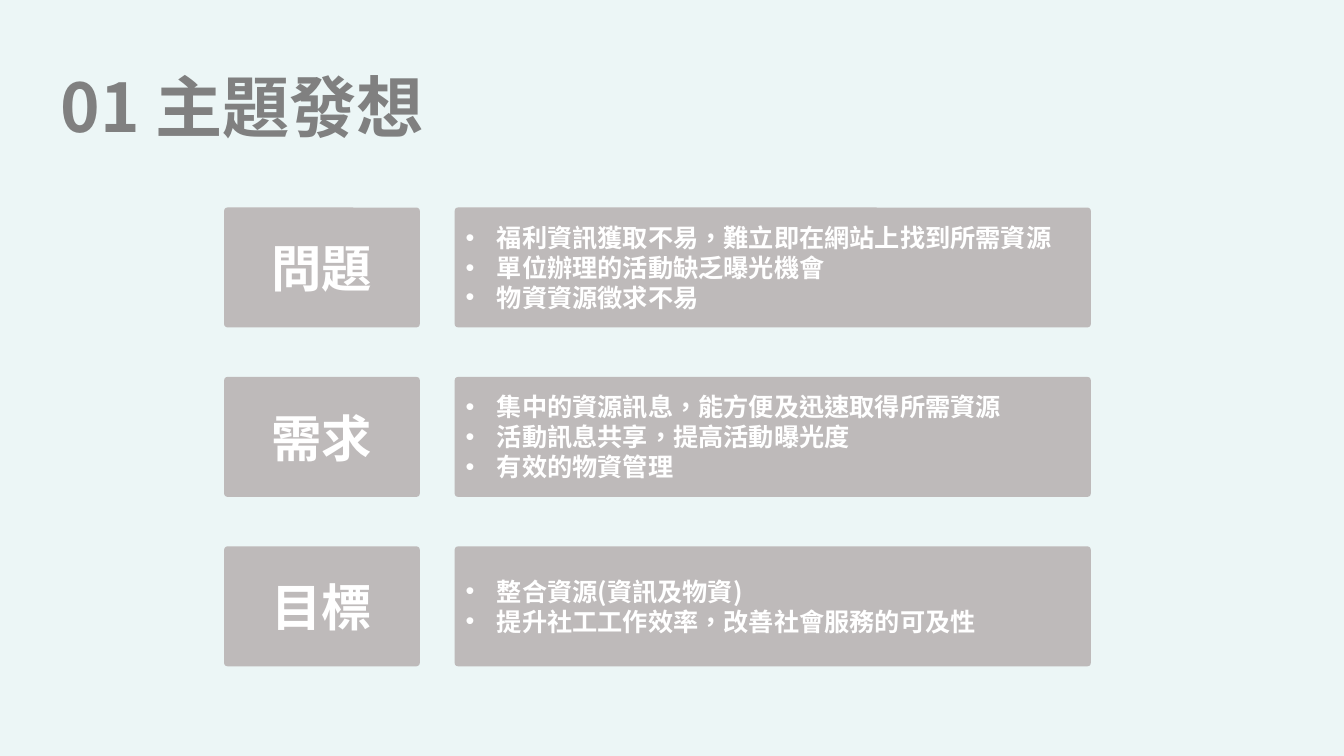
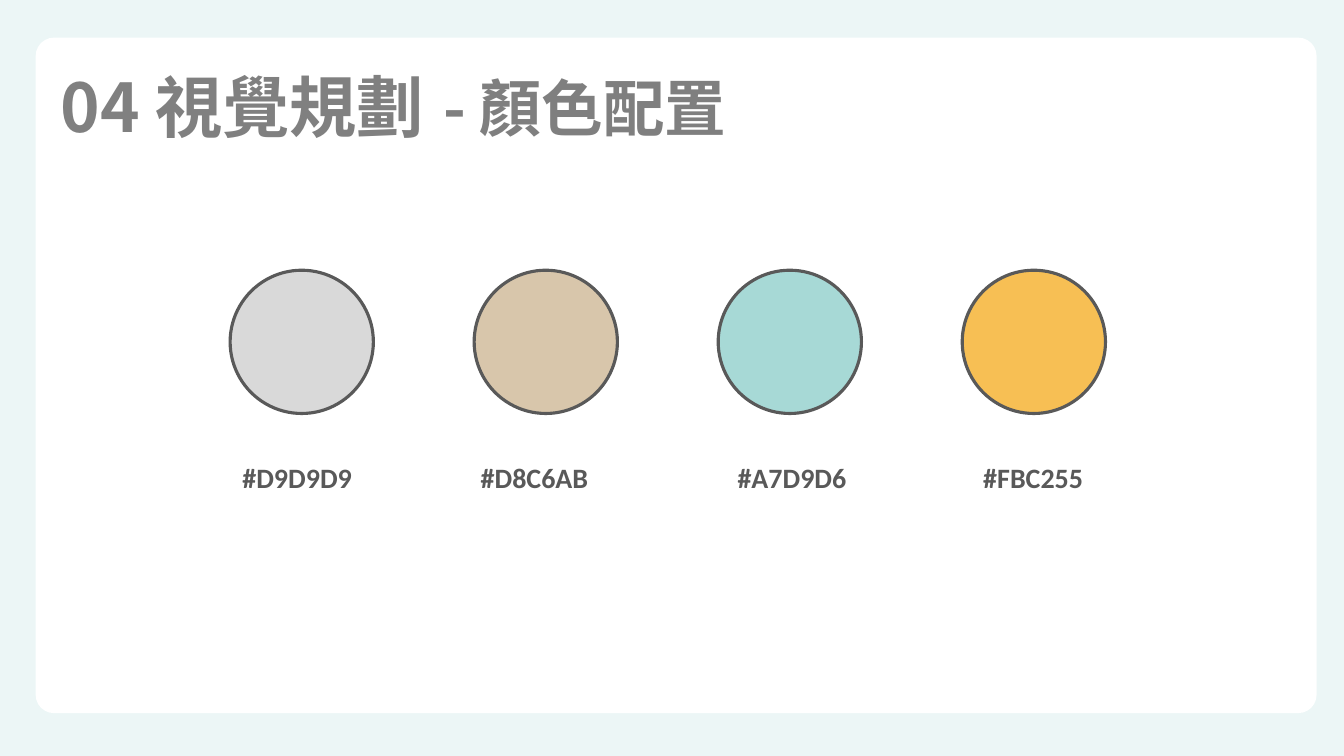
from pptx import Presentation
from pptx.dml.color import RGBColor
from pptx.enum.shapes import MSO_SHAPE as Preset
from pptx.enum.text import MSO_ANCHOR as Anchor, PP_ALIGN as Align
from pptx.oxml.ns import qn
from pptx.util import Cm, Pt
from lxml.etree import SubElement

BACKGROUND = RGBColor(0xEC, 0xF6, 0xF6)
WHITE = RGBColor(0xFF, 0xFF, 0xFF)
TAUPE = RGBColor(0xBE, 0xBA, 0xBA)
TITLE_GREY = RGBColor(0x80, 0x80, 0x80)
SUBTITLE_GREY = RGBColor(0x7F, 0x7F, 0x7F)
DARK_GREY = RGBColor(0x59, 0x59, 0x59)
SILVER = RGBColor(0xD9, 0xD9, 0xD9)
SAND = RGBColor(0xD8, 0xC6, 0xAB)
AQUA = RGBColor(0xA7, 0xD9, 0xD6)
AMBER = RGBColor(0xF7, 0xBF, 0x54)

CHINESE_FONT = "Noto Sans CJK SC"
LATIN_FONT = "Calibri"
CORNER = 0.027


class Deck:
    """Holds the shared style and the slide being built."""

    def __init__(self):
        self.presentation = Presentation()
        self.presentation.slide_width = Cm(33.87)
        self.presentation.slide_height = Cm(19.05)
        self.slide = None

    def new_slide(self):
        self.slide = self.presentation.slides.add_slide(self.presentation.slide_layouts[6])
        fill = self.slide.background.fill
        fill.solid()
        fill.fore_color.rgb = BACKGROUND

    def shape(self, preset, left, top, width, height, color, line=None):
        shape = self.slide.shapes.add_shape(preset, Cm(left), Cm(top), Cm(width), Cm(height))
        shape.shadow.inherit = False
        shape.fill.solid()
        shape.fill.fore_color.rgb = color
        if line is None:
            shape.line.fill.background()
        else:
            shape.line.color.rgb = line
            shape.line.width = Pt(2.25)
        return shape

    def panel(self, left, top, width, height, color):
        shape = self.shape(Preset.ROUNDED_RECTANGLE, left, top, width, height, color)
        shape.adjustments[0] = CORNER
        return shape

    def text_box(self, left, top, width, height):
        frame = self.slide.shapes.add_textbox(Cm(left), Cm(top), Cm(width), Cm(height)).text_frame
        frame.word_wrap = True
        return frame

    def run(self, paragraph, text, size, color, font=CHINESE_FONT):
        run = paragraph.add_run()
        run.text = text
        run.font.size = Pt(size)
        run.font.bold = True
        run.font.color.rgb = color
        run.font.name = font
        properties = run.font._element
        properties.set("lang", "zh-TW")
        SubElement(properties, qn("a:ea")).set("typeface", font)

    def heading(self, text, left=1.28, width=11.53, size=48, color=TITLE_GREY, align=Align.LEFT):
        frame = self.text_box(left, 1.3, width, 3)
        frame.vertical_anchor = Anchor.MIDDLE
        paragraph = frame.paragraphs[0]
        paragraph.alignment = align
        paragraph.line_spacing = 0.9
        self.run(paragraph, text, size, color)

    def label_card(self, text, left, top, width, height):
        frame = self.panel(left, top, width, height, TAUPE).text_frame
        frame.vertical_anchor = Anchor.MIDDLE
        paragraph = frame.paragraphs[0]
        paragraph.alignment = Align.CENTER
        self.run(paragraph, text, 36, WHITE)

    def bullet_card(self, lines, left, top, width, height):
        frame = self.panel(left, top, width, height, TAUPE).text_frame
        frame.vertical_anchor = Anchor.MIDDLE
        for index, line in enumerate(lines):
            paragraph = frame.add_paragraph() if index else frame.paragraphs[0]
            paragraph.alignment = Align.LEFT
            paragraph.line_spacing = Pt(21.4)
            properties = paragraph._p.get_or_add_pPr()
            properties.set("marL", str(Cm(0.79)))
            properties.set("indent", str(-Cm(0.79)))
            SubElement(properties, qn("a:buFont")).set("typeface", "Arial")
            SubElement(properties, qn("a:buChar")).set("char", "•")
            self.run(paragraph, line, 18, WHITE)

    def swatch(self, left, color, code, code_center):
        self.shape(Preset.OVAL, left, 6.81, 3.61, 3.61, color, DARK_GREY)
        width = 4.2
        frame = self.text_box(code_center - width / 2, 11.48, width, 1.12)
        paragraph = frame.paragraphs[0]
        paragraph.alignment = Align.CENTER
        self.run(paragraph, code, 20, DARK_GREY, LATIN_FONT)


def build_topic(deck):
    deck.new_slide()
    deck.heading("01 主題發想")
    rows = [
        ("問題", ["福利資訊獲取不易，難立即在網站上找到所需資源",
                "單位辦理的活動缺乏曝光機會",
                "物資資源徵求不易"]),
        ("需求", ["集中的資源訊息，能方便及迅速取得所需資源",
                "活動訊息共享，提高活動曝光度",
                "有效的物資管理"]),
        ("目標", ["整合資源(資訊及物資)",
                "提升社工工作效率，改善社會服務的可及性"]),
    ]
    for index, (label, lines) in enumerate(rows):
        top = 5.23 + index * 4.27
        deck.label_card(label, 5.65, top, 4.93, 3.02)
        deck.bullet_card(lines, 11.46, top, 16.03, 3.02)


def build_palette(deck):
    deck.new_slide()
    deck.panel(0.9, 0.95, 32.28, 17.02, WHITE)
    deck.heading("04 視覺規劃")
    deck.heading("- 顏色配置", 3.12, 23.24, 44, SUBTITLE_GREY, Align.CENTER)
    # Colour, its code, and the centre of the code
    swatches = [
        (SILVER, "#D9D9D9", 7.49),
        (SAND, "#D8C6AB", 13.47),
        (AQUA, "#A7D9D6", 19.96),
        (AMBER, "#FBC255", 26.04),
    ]
    for index, (color, code, code_center) in enumerate(swatches):
        deck.swatch(5.8 + index * 6.15, color, code, code_center)


def main():
    deck = Deck()
    build_topic(deck)
    build_palette(deck)
    deck.presentation.save("out.pptx")


if __name__ == "__main__":
    main()
